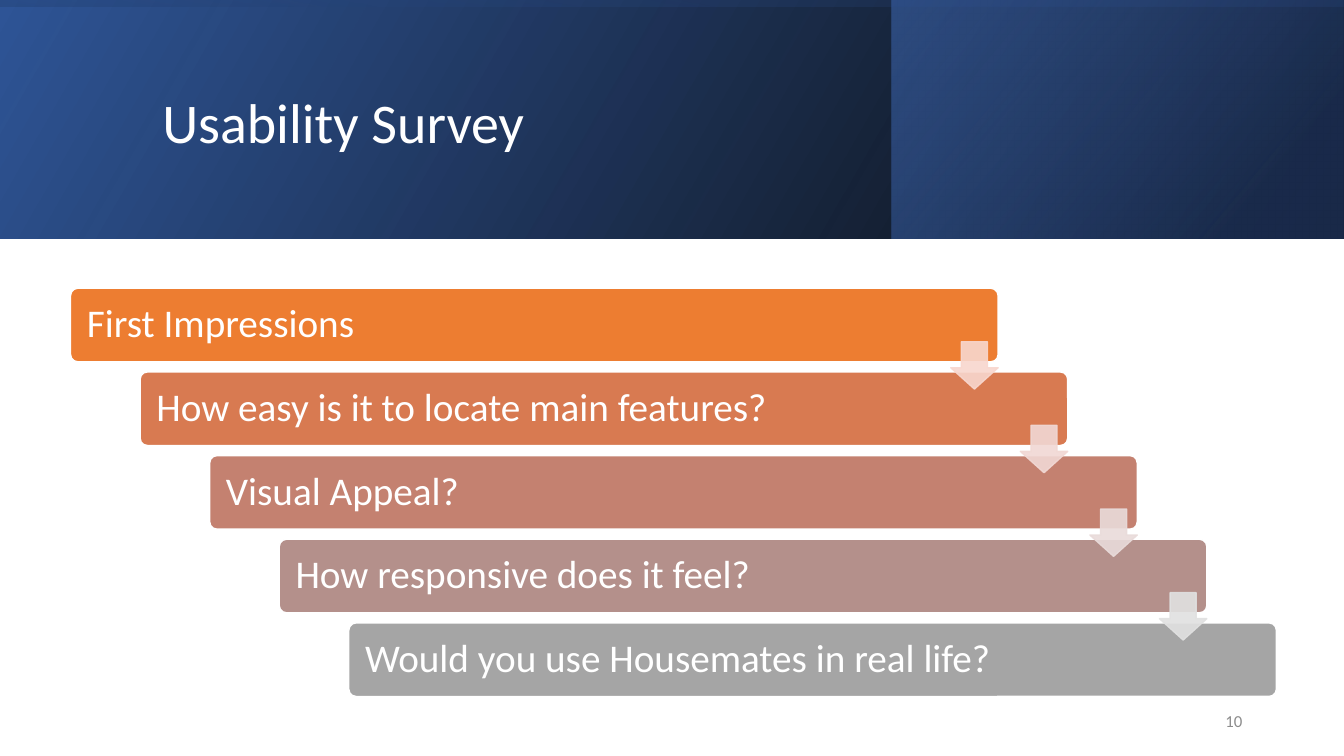
from pptx import Presentation
from pptx.dml.color import RGBColor
from pptx.enum import shapes, text
from pptx.oxml import parse_xml
from pptx.oxml.ns import qn
from pptx.util import Inches, Pt

# Content
TITLE = "Usability Survey"
PAGE_NUMBER = "10"
QUESTIONS = [
    ("First Impressions", "ED7D31"),
    ("How easy is it to locate main features?", "D87A51"),
    ("Visual Appeal?", "C48170"),
    ("How responsive does it feel?", "B4908B"),
    ("Would you use Housemates in real life?", "A5A5A5"),
]
ARROW_COLORS = ["F8D7CE", "F1D8D4", "E9DBDA", "E1E1E1"]
# Banner layers: box, rotation, gradient angle, stops (position %, color, opacity %)
BANNER_LAYERS = [
    ((0, 0, 13.33, 2.37), 0, 330, [(0, "000000", 96), (100, "2F5597", 100)]),
    ((8.84, 0, 4.48, 2.37), 0, 320, [(19, "203864", 68), (100, "4472C4", 48)]),
    ((5.48, -5.48, 2.37, 13.33), 270, 350, [(23, "2F5597", 16), (99, "000000", 45)]),
]
THEME = {"font": "Calibri", "white": "FFFFFF", "gray": "8C8C8C",
         "title": 40, "question": 28, "number": 12}

# Staircase layout, in inches
BAR_LEFT, BAR_TOP, BAR_WIDTH, BAR_HEIGHT = 0.7, 2.86, 9.2, 0.73
STEP_X, STEP_Y = 0.69, 0.83
ARROW_SIZE, ARROW_DROP = 0.47, 0.53


def add_shape(slide, kind, box):
    shape = slide.shapes.add_shape(kind, *map(Inches, box))
    shape.shadow.inherit = False
    return shape


def set_opacity(element, percents):
    for color, percent in zip(element.iter(qn("a:srgbClr")), percents):
        color.append(parse_xml(
            '<a:alpha xmlns:a="http://schemas.openxmlformats.org/drawingml/2006/main" '
            f'val="{percent * 1000}"/>'))


def paint(shape, fill, line):
    shape.fill.solid()
    shape.fill.fore_color.rgb = RGBColor.from_string(fill)
    shape.line.color.rgb = RGBColor.from_string(line)
    shape.line.width = Pt(1)


def write(shape, words, size, color, align=text.PP_ALIGN.LEFT, spacing=1.0):
    frame = shape.text_frame
    frame.word_wrap = True
    frame.vertical_anchor = text.MSO_ANCHOR.MIDDLE
    paragraph = frame.paragraphs[0]
    paragraph.alignment = align
    paragraph.line_spacing = spacing
    run = paragraph.add_run()
    run.text = words
    run.font.name = THEME["font"]
    run.font.size = Pt(THEME[size])
    run.font.color.rgb = RGBColor.from_string(THEME[color])


def add_banner(slide):
    for box, rotation, angle, stops in BANNER_LAYERS:
        layer = add_shape(slide, shapes.MSO_SHAPE.RECTANGLE, box)
        layer.rotation = rotation
        layer.element.spPr.xfrm.set("flipH", "1")
        layer.line.fill.background()
        layer.fill.gradient()
        layer.fill.gradient_angle = 360 - angle
        for stop, (position, color, _) in zip(layer.fill.gradient_stops, stops):
            stop.position = position / 100
            stop.color.rgb = RGBColor.from_string(color)
        set_opacity(layer.element.spPr, [opacity for _, _, opacity in stops])


def add_title(slide):
    title = slide.shapes.title
    title.left, title.top, title.width, title.height = map(Inches, (1.51, 0.38, 10.63, 1.72))
    write(title, TITLE, "title", "white", spacing=0.9)
    # Bring the title in front of the banner
    slide.shapes.element.append(title.element)


def add_staircase(slide):
    for index, (question, color) in enumerate(QUESTIONS):
        bar = add_shape(slide, shapes.MSO_SHAPE.ROUNDED_RECTANGLE,
                        (BAR_LEFT + index * STEP_X, BAR_TOP + index * STEP_Y,
                         BAR_WIDTH, BAR_HEIGHT))
        bar.adjustments[0] = 0.1
        paint(bar, color, THEME["white"])
        bar.text_frame.margin_left = Inches(0.14)
        write(bar, question, "question", "white", spacing=0.9)

    # Arrows sit at the right end of each bar and point to the next one
    for index, color in enumerate(ARROW_COLORS):
        arrow = add_shape(slide, shapes.MSO_SHAPE.DOWN_ARROW,
                          (BAR_LEFT + BAR_WIDTH - ARROW_SIZE + index * STEP_X,
                           BAR_TOP + ARROW_DROP + index * STEP_Y,
                           ARROW_SIZE, ARROW_SIZE))
        arrow.adjustments[0] = 0.55
        arrow.adjustments[1] = 0.45
        paint(arrow, color, color)
        set_opacity(arrow.element.spPr, [90, 90])


def main():
    presentation = Presentation()
    presentation.slide_width = Inches(13.33)
    presentation.slide_height = Inches(7.5)
    slide = presentation.slides.add_slide(presentation.slide_layouts.get_by_name("Title Only"))
    add_banner(slide)
    add_title(slide)
    add_staircase(slide)
    # Page number
    number = slide.shapes.add_textbox(*map(Inches, (9.42, 6.95, 3, 0.4)))
    write(number, PAGE_NUMBER, "number", "gray", text.PP_ALIGN.RIGHT)
    presentation.save("out.pptx")


if __name__ == "__main__":
    main()
